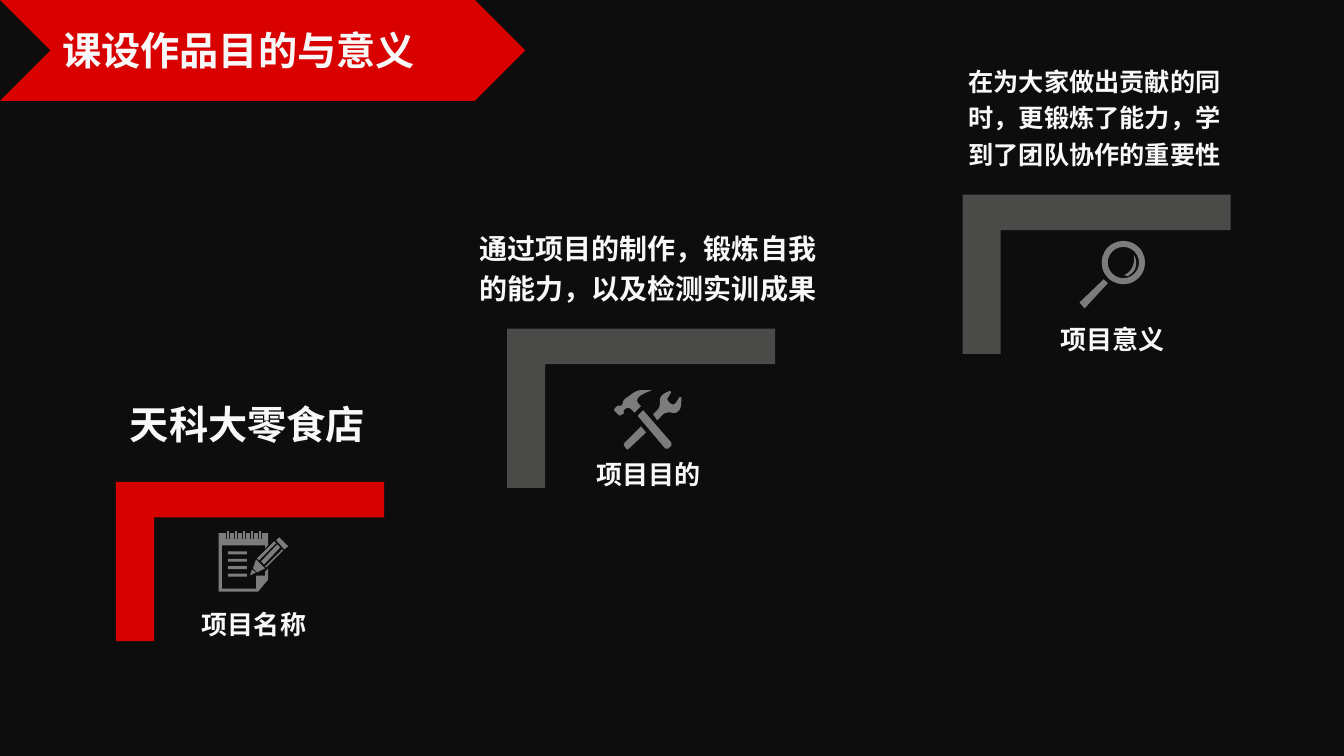
from lxml.etree import SubElement
from pptx import Presentation
from pptx.dml.color import RGBColor
from pptx.enum.shapes import MSO_SHAPE as Preset
from pptx.enum.text import MSO_ANCHOR as Anchor, MSO_AUTO_SIZE as AutoSize, PP_ALIGN as Align
from pptx.oxml.ns import qn
from pptx.util import Pt

FONT = "Noto Sans CJK SC"
WHITE, BLACK, RED, DARK_RED = "F8F8F8", "0D0D0D", "D80100", "D50201"
GRAY, ICON_GRAY = "4A4A49", "7C7C7C"
CELL = 0.72
CURVE_STEPS = 8

PENCIL = [
    [(46, 35), (47, 36), (64, 19), (63, 18)],
    [(58, 13), (42, 30), (45, 33), (61, 16)],
    [(38, 27), (40, 29), (57, 12), (55, 10)],
    [(46, 37), (37, 28), (34, 37), (38, 41)],
    [(31, 44), (37, 41), (33, 38)],
    [(60, 6), (57, 9), (65, 18), (69, 15)],
]
PAGE = [(49, 2), (49, 14), (46, 17), (46, 14), (3, 14), (3, 57), (37, 57), (37, 44),
        (46, 44), (46, 40), (49, 37), (49, 48), (39, 60), (0, 60), (0, 2)]
HAMMER_HEAD = [
    (11, 19), (14, 16, 17, 18, 20, 22), (20, 23, 21, 22, 21, 22), (26, 17), (27, 16),
    (24, 13), (18, 5, 41, 0, 37, 0), (27, 0), (23, 0, 17, 4, 15, 6),
    (11, 8, 10, 10, 10, 10), (9, 11, 9, 13, 8, 15), (6, 16, 5, 15, 3, 16),
    (1, 18), (0, 20), (5, 25), (7, 25), (10, 23), (10, 23, 9, 20, 11, 19),
]
HAMMER_HANDLE = [(30, 21), (29, 20), (24, 25), (24, 26), (51, 58), (54, 58), (57, 55), (57, 52)]
WRENCH_HEAD = [
    (67, 7), (65, 7), (62, 12), (61, 13, 59, 16, 56, 13), (52, 10, 53, 8, 54, 7),
    (57, 2), (56, 1), (54, 1, 47, 4, 46, 8), (45, 12, 47, 16, 43, 20), (39, 24),
    (43, 30), (49, 24), (50, 23, 53, 22, 56, 22), (61, 24, 64, 22, 66, 18),
    (67, 15, 67, 9, 67, 7),
]
WRENCH_HANDLE = [(10, 53), (10, 55), (13, 59), (15, 58), (32, 42), (27, 36)]
LENS_HANDLE = [(0, 62), (5, 68), (28, 43), (24, 39)]
LENS_GLINT = [(54, 15), (56, 31, 44, 35, 44, 35), (48, 36), (62, 28, 54, 15, 54, 15)]

STEPS = [
    ("项目名称", DARK_RED, (121.68, 305.28), (144, 434.88)),
    ("项目目的", GRAY, (401.04, 195.84), (425.52, 327.6)),
    ("项目意义", GRAY, (726.48, 100.08), (757.44, 231.12)),
]
HEADINGS = [
    ("天科大零食店", (85.68, 275.76, 198, 47.52), 28),
    ("通过项目的制作，锻炼自我的能力，以及检测实训成果", (335.52, 156.96, 254.88, 65.52), 20),
    ("在为大家做出贡献的同时，更锻炼了能力，学到了团队协作的重要性",
     (684.72, 39.6, 198, 85.68), 18),
]


def color(value):
    return RGBColor.from_string(value)


def paint(shape, fill):
    shape.shadow.inherit = False
    shape.fill.solid()
    shape.fill.fore_color.rgb = color(fill)
    shape.line.fill.background()


def add_preset(shapes, preset, box, fill, adjustments=()):
    shape = shapes.add_shape(preset, *map(Pt, box))
    paint(shape, fill)
    for index, value in enumerate(adjustments):
        shape.adjustments[index] = value
    return shape


def add_text(shapes, text, box, size, line_spacing=None):
    shape = shapes.add_textbox(*map(Pt, box))
    frame = shape.text_frame
    frame.text = text
    frame.word_wrap = True
    frame.auto_size = AutoSize.SHAPE_TO_FIT_TEXT
    paragraph = frame.paragraphs[0]
    paragraph.line_spacing = line_spacing
    font = paragraph.runs[0].font
    font.size, font.bold, font.name = Pt(size), True, FONT
    font.color.rgb = color(WHITE)
    SubElement(paragraph.runs[0]._r.get_or_add_rPr(), qn("a:ea"), typeface=FONT)
    return frame


def add_label(shapes, text, left, top):
    frame = add_text(shapes, text, (left, top, 74.88, 22.32), 18.6)
    frame.margin_left = frame.margin_right = frame.margin_top = frame.margin_bottom = 0
    frame.word_wrap = False
    frame.vertical_anchor = Anchor.MIDDLE
    frame.paragraphs[0].alignment = Align.CENTER


def flatten(outline):
    points = []
    for step in outline:
        if len(step) == 2:
            points.append(step)
            continue
        controls = [points[-1], step[:2], step[2:4], step[4:]]
        for index in range(1, CURVE_STEPS + 1):
            t = index / CURVE_STEPS
            weights = ((1 - t) ** 3, 3 * t * (1 - t) ** 2, 3 * t * t * (1 - t), t ** 3)
            points.append(tuple(
                sum(weight * control[axis] for weight, control in zip(weights, controls))
                for axis in (0, 1)))
    return points


def add_outlines(shapes, origin, outlines):
    builder = None
    for outline in outlines:
        points = [tuple(Pt(start + CELL * value) for start, value in zip(origin, point))
                  for point in flatten(outline)]
        if builder is None:
            builder = shapes.build_freeform(*points[0])
        else:
            builder.move_to(*points[0])
        builder.add_line_segments(points[1:], close=True)
    paint(builder.convert_to_shape(), ICON_GRAY)


def add_notepad(shapes, left, top):
    rings = []
    for x in range(8, 41, 8):
        rings += [(x - 1, 2), (x - 1, 8), (x, 8), (x, 0),
                  (x + 2, 0), (x + 2, 8), (x + 3, 8), (x + 3, 2)]
    for outline in PENCIL + [rings + PAGE]:
        add_outlines(shapes, (left, top), [outline])
    for row in range(4):
        box = (left + 6.48, top + 14.4 + 5.3 * row, 13.68, 2.16)
        add_preset(shapes, Preset.RECTANGLE, box, ICON_GRAY)


def add_magnifier(shapes, left, top):
    add_preset(shapes, Preset.DONUT, (left + 15.8, top + 0.7, 31, 31), ICON_GRAY, [0.14])
    for outline in (LENS_HANDLE, LENS_GLINT):
        add_outlines(shapes, (left, top), [outline])


def add_step(shapes, text, fill, corner, label):
    box = (*corner, 113.76, 191.52)
    add_preset(shapes, Preset.CORNER, box, fill, [0.239, 0.223]).rotation = 90
    add_label(shapes, text, *label)


def main():
    presentation = Presentation()
    presentation.slide_width, presentation.slide_height = Pt(960), Pt(540)
    slide = presentation.slides.add_slide(presentation.slide_layouts[6])
    slide.background.fill.solid()
    slide.background.fill.fore_color.rgb = color(WHITE)
    shapes = slide.shapes

    add_preset(shapes, Preset.RECTANGLE, (0, 0, 960, 540), BLACK)
    add_preset(shapes, Preset.CHEVRON, (0, 0, 375.12, 72), RED)
    add_text(shapes, "课设作品目的与意义", (37.44, 15.12, 274.32, 41.04), 28)
    for text, box, size in HEADINGS:
        add_text(shapes, text, box, size, 1.2)
    for step in STEPS:
        add_step(shapes.add_group_shape().shapes, *step)
    add_notepad(shapes.add_group_shape().shapes, 156.24, 379.44)
    add_magnifier(shapes.add_group_shape().shapes, 771.12, 171.36)
    add_outlines(shapes, (438.48, 278.64),
                 [HAMMER_HEAD, HAMMER_HANDLE, WRENCH_HEAD, WRENCH_HANDLE])
    presentation.save("out.pptx")


if __name__ == "__main__":
    main()
